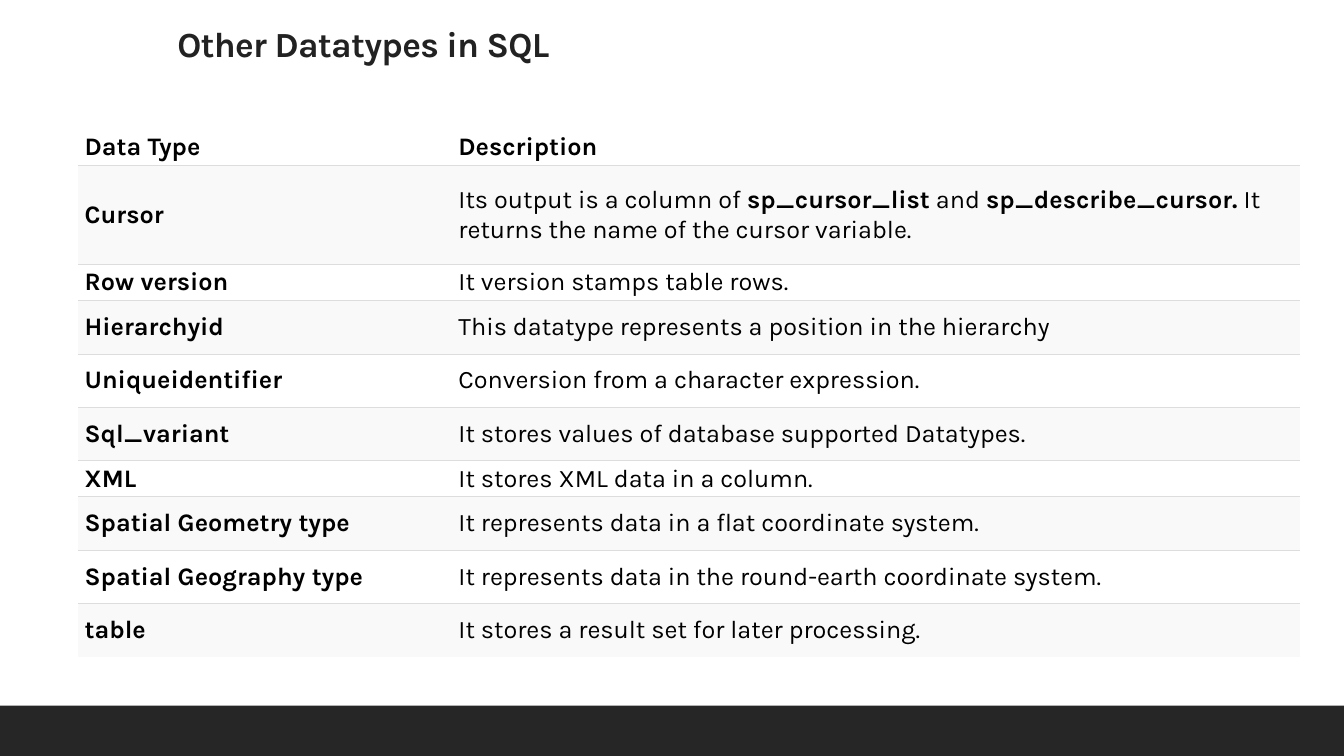
from lxml import etree
from pptx import Presentation
from pptx.dml.color import RGBColor
from pptx.enum.shapes import MSO_SHAPE
from pptx.enum.text import MSO_ANCHOR, MSO_AUTO_SIZE, PP_ALIGN
from pptx.oxml.ns import qn
from pptx.util import Pt

RECTANGLE = MSO_SHAPE.RECTANGLE
TOP, MIDDLE = MSO_ANCHOR.TOP, MSO_ANCHOR.MIDDLE
NO_AUTOFIT = MSO_AUTO_SIZE.NONE
LEFT = PP_ALIGN.LEFT

# Content: a list of strings holds alternating regular and bold text
TITLE = "Other Datatypes in SQL"
HEADINGS = ("Data Type", "Description")
DATATYPES = [
    ("Cursor", ["Its output is a column of ", "sp_cursor_list", " and ",
                "sp_describe_cursor.",
                " It returns the name of the cursor variable."]),
    ("Row version", ["It version stamps table rows."]),
    ("Hierarchyid", ["This datatype represents a position in the hierarchy"]),
    ("Uniqueidentifier", ["Conversion from a character expression."]),
    ("Sql_variant", ["It stores values of database supported Datatypes."]),
    ("XML", ["It stores XML data in a column."]),
    ("Spatial Geometry type", ["It represents data in a flat coordinate system."]),
    ("Spatial Geography type",
     ["It represents data in the round-earth coordinate system."]),
    ("table", ["It stores a result set for later processing."]),
]

# Style and measures in points
COLORS = {"title": "222222", "text": "000000", "footer": "262626",
          "rule": "DDDDDD", "plain": "FFFFFF", "band": "F9F9F9"}
FONT = "Karla"
SLIDE_W, SLIDE_H, FOOTER_H = 960, 540, 36
TABLE_LEFT, TABLE_TOP = 56, 92.4
COLUMN_WIDTHS = (267, 605.6)
TIGHT, ROOMY, TALL = 25.6, 38.2, 71
ROW_HEIGHTS = (TIGHT, TALL, TIGHT, ROOMY, ROOMY, ROOMY, TIGHT, ROOMY, ROOMY, ROOMY)
RULE_WIDTH = 0.6
NO_STYLE_TABLE = "{2D5ABB26-0587-4C30-8999-92F81FD0307C}"


def color(name):
    return RGBColor.from_string(COLORS[name])


def style_font(font, size, bold, color_name):
    font.name, font.size, font.bold = FONT, Pt(size), bold
    font.color.rgb = color(color_name)


def add_rule(cell, side):
    line = etree.SubElement(cell._tc.get_or_add_tcPr(), qn("a:" + side),
                            w=str(Pt(RULE_WIDTH)))
    fill = etree.SubElement(line, qn("a:solidFill"))
    etree.SubElement(fill, qn("a:srgbClr"), val=COLORS["rule"])


def fill_cell(cell, pieces, first_bold, row, last_row):
    cell.vertical_anchor = MIDDLE
    cell.margin_left = cell.margin_right = Pt(4.5)
    cell.margin_top = cell.margin_bottom = Pt(2.2)
    paragraph = cell.text_frame.paragraphs[0]
    for i, piece in enumerate(pieces):
        run = paragraph.add_run()
        run.text = piece
        style_font(run.font, 18, first_bold != (i % 2 == 1), "text")
    # Rules only between rows
    if row > 0:
        add_rule(cell, "lnT")
    if row < last_row:
        add_rule(cell, "lnB")
    cell.fill.solid()
    cell.fill.fore_color.rgb = color("band" if row % 2 else "plain")


def add_title(slide):
    title = slide.shapes.title
    title.left, title.top = Pt(119.5), Pt(18.7)
    title.width, title.height = Pt(792), Pt(61)
    frame = title.text_frame
    frame.text = TITLE
    frame.auto_size = NO_AUTOFIT
    frame.vertical_anchor = TOP
    frame.margin_top = Pt(0.4)
    heading = frame.paragraphs[0]
    heading.alignment, heading.line_spacing = LEFT, 0.9
    run = heading.runs[0]
    style_font(run.font, 25.2, True, "title")
    run._r.get_or_add_rPr().set("spc", "-50")


def add_footer(slide):
    footer = slide.shapes.add_shape(RECTANGLE, 0, Pt(SLIDE_H - FOOTER_H),
                                    Pt(SLIDE_W), Pt(FOOTER_H))
    footer.shadow.inherit = False
    footer.fill.solid()
    footer.fill.fore_color.rgb = color("footer")
    footer.line.fill.background()


def add_datatypes(slide):
    rows = [(HEADINGS[0], [HEADINGS[1]])] + DATATYPES
    table = slide.shapes.add_table(
        len(rows), 2, Pt(TABLE_LEFT), Pt(TABLE_TOP),
        Pt(sum(COLUMN_WIDTHS)), Pt(sum(ROW_HEIGHTS))).table
    table._tbl.tblPr.find(qn("a:tableStyleId")).text = NO_STYLE_TABLE
    table.first_row = table.horz_banding = False
    for column, width in zip(table.columns, COLUMN_WIDTHS):
        column.width = Pt(width)
    for r, (datatype, description) in enumerate(rows):
        table.rows[r].height = Pt(ROW_HEIGHTS[r])
        fill_cell(table.cell(r, 0), [datatype], True, r, len(rows) - 1)
        fill_cell(table.cell(r, 1), description, r == 0, r, len(rows) - 1)


def main():
    deck = Presentation()
    deck.slide_width, deck.slide_height = Pt(SLIDE_W), Pt(SLIDE_H)
    slide = deck.slides.add_slide(deck.slide_layouts[5])
    add_footer(slide)
    add_title(slide)
    add_datatypes(slide)
    deck.save("out.pptx")


if __name__ == "__main__":
    main()
